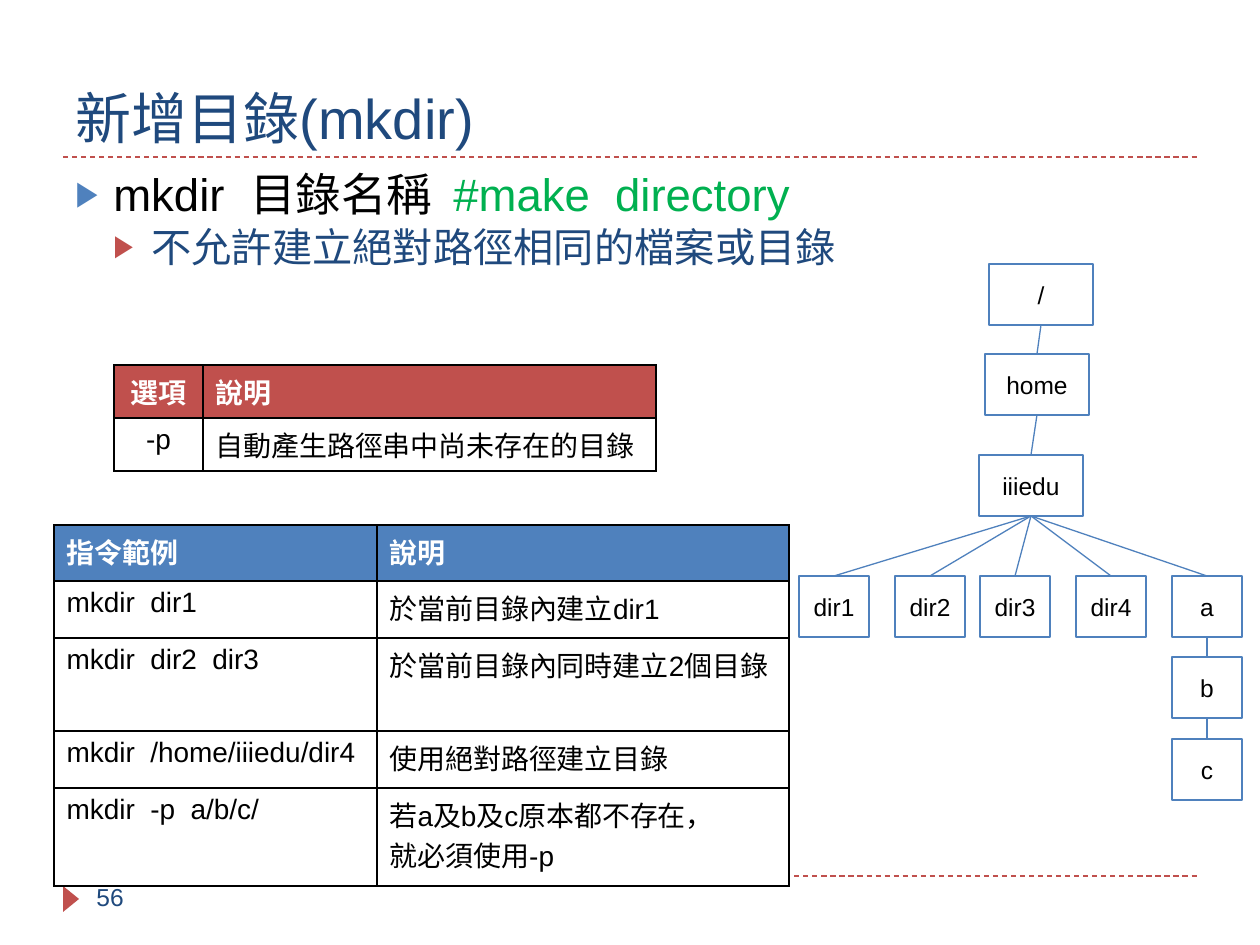
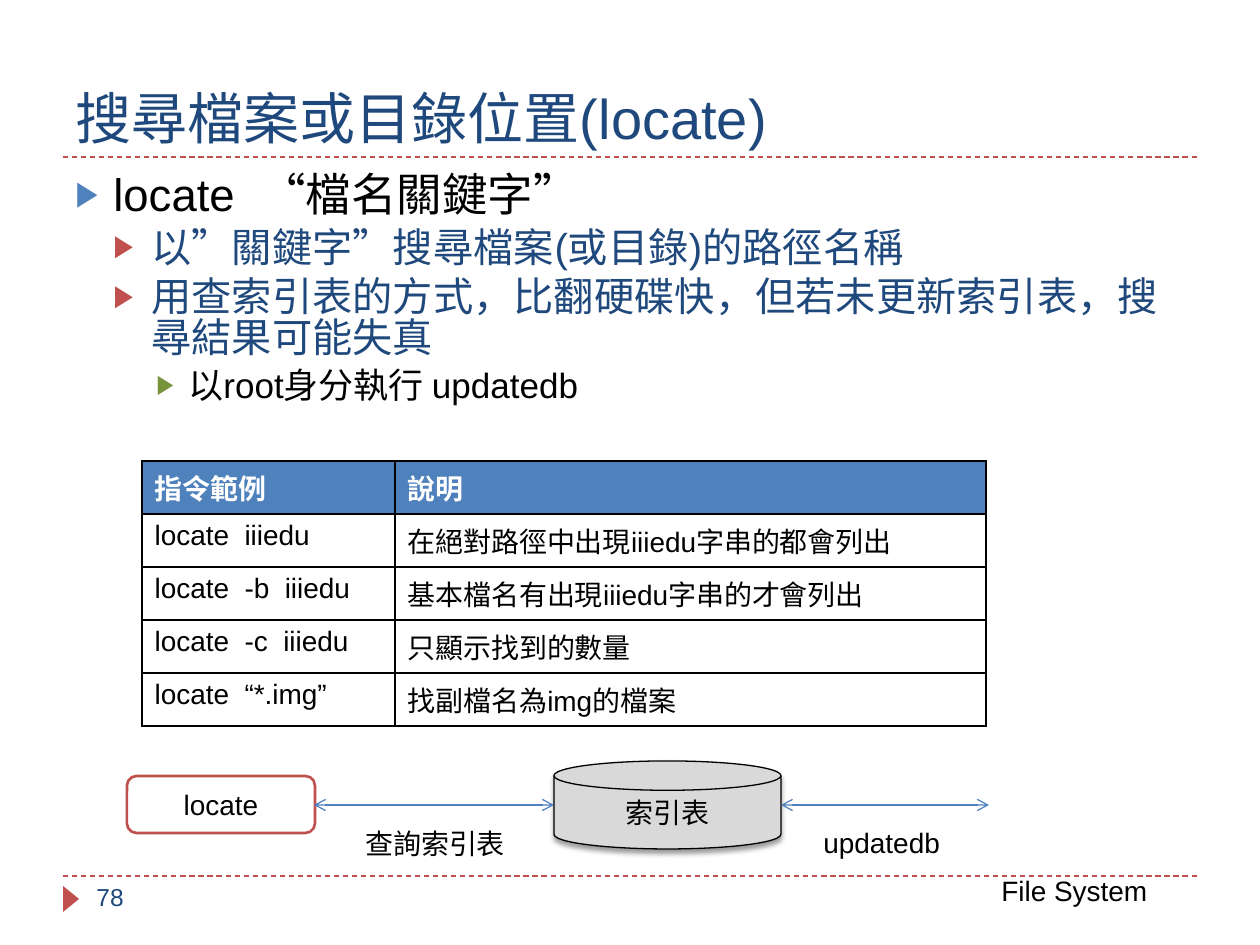
import pptx
import pptx.dml.color
import pptx.enum.dml
import pptx.enum.shapes
import pptx.enum.text
import pptx.oxml
import pptx.oxml.ns
import pptx.util
from lxml import etree

PX = 914400 / 126
FONT = "Arial"
BLACK, WHITE, GREY = "000000", "FFFFFF", "D9D9D9"
NAVY, BLUE, RED = "1F497D", "4F81BD", "C0504D"
GREEN, OLIVE = "00B050", "77933C"
SHAPES = pptx.enum.shapes.MSO_SHAPE
CENTER = pptx.enum.text.PP_ALIGN.CENTER
LEFT = pptx.enum.text.PP_ALIGN.LEFT
BOTTOM = pptx.enum.text.MSO_ANCHOR.BOTTOM
MIDDLE = pptx.enum.text.MSO_ANCHOR.MIDDLE
TOP = pptx.enum.text.MSO_ANCHOR.TOP
LEVELS = [
    dict(size=26, color=BLACK, bullet=BLUE, margin=38, hanging=38, before=6),
    dict(size=23, color=NAVY, bullet=RED, margin=76, hanging=38, before=5),
    dict(size=20, color=BLACK, bullet=OLIVE, margin=113, hanging=32, before=5),
]


def emu(*lengths):
    """Turn px lengths into EMU."""
    return [pptx.util.Emu(round(length * PX)) for length in lengths]


def rgb(color):
    """Turn a hex string into a colour."""
    return pptx.dml.color.RGBColor.from_string(color)


def add_xml(parent, tag, inner="", **attributes):
    """Append one drawing element to a parent."""
    element = etree.SubElement(parent, pptx.oxml.ns.qn(f"a:{tag}"), **attributes)
    if inner:
        add_xml(element, "srgbClr", val=inner)
    return element


def style_runs(para, size, color, bold=False):
    """Format every run of a paragraph."""
    for span in para.runs:
        span.font.name = FONT
        span.font.size = pptx.util.Pt(size)
        span.font.bold = bold
        span.font.color.rgb = rgb(color)


def fill_text(frame, text, size, color, align=LEFT, anchor=TOP, bold=False):
    """Put styled text into a text frame."""
    frame.text = text
    frame.vertical_anchor = anchor
    for para in frame.paragraphs:
        para.alignment = align
        style_runs(para, size, color, bold)


def add_label(page, place, text, size=16, color=BLACK, anchor=TOP, wrap=True):
    """Add a text box."""
    box = page.shapes.add_textbox(*emu(*place))
    fill_text(box.text_frame, text, size, color, anchor=anchor)
    box.text_frame.word_wrap = wrap


def add_box(page, kind, place, text, line, size, fill=WHITE, weight=1.5):
    """Add an outlined shape with centred text."""
    box = page.shapes.add_shape(kind, *emu(*place))
    box.shadow.inherit = False
    box.fill.solid()
    box.fill.fore_color.rgb = rgb(fill)
    box.line.color.rgb = rgb(line)
    box.line.width = pptx.util.Pt(weight)
    fill_text(box.text_frame, text, size, BLACK, CENTER, MIDDLE)
    return box


def add_line(page, start=(0, 0), end=(0, 0), color=BLUE, dashed=False, arrows=False):
    """Add a thin straight connector."""
    line = page.shapes.add_connector(
        pptx.enum.shapes.MSO_CONNECTOR.STRAIGHT, *emu(*start, *end))
    line.line.color.rgb = rgb(color)
    line.line.width = pptx.util.Pt(0.75)
    if dashed:
        line.line.dash_style = pptx.enum.dml.MSO_LINE.DASH
    if arrows:
        for tag in ("headEnd", "tailEnd"):
            add_xml(line.line._get_or_add_ln(), tag, type="arrow")
    add_xml(line._element.spPr, "effectLst")
    return line


def add_page(deck, title, number):
    """Add a page with the shared rules, title and page number."""
    page = deck.slides.add_slide(deck.slide_layouts[6])
    for height in (876, 157):
        add_line(page, (63, height), (1197, height), RED, dashed=True)
    marker = page.shapes.add_shape(
        SHAPES.ISOSCELES_TRIANGLE, *emu(58, 891, 26, 16))
    marker.rotation = 90
    marker.shadow.inherit = False
    marker.fill.solid()
    marker.fill.fore_color.rgb = rgb(RED)
    marker.line.fill.background()
    add_label(page, (63, 21, 1134, 136), title, 32, NAVY, BOTTOM)
    add_label(page, (84, 876, 273, 50), number, 14, NAVY)
    return page


def add_outline(page, items):
    """Add the bulleted body from (level, text) pairs and return its paragraphs."""
    frame = page.shapes.add_textbox(*emu(63, 168, 1134, 680)).text_frame
    frame.word_wrap = True
    frame.text = "\n".join(text for _, text in items)
    for index, (para, (depth, _)) in enumerate(zip(frame.paragraphs, items)):
        level = LEVELS[depth]
        para.level = depth
        para.line_spacing = 0.85
        if index:
            para.space_before = pptx.util.Pt(level["before"])
        properties = para._p.get_or_add_pPr()
        margin, hanging = emu(level["margin"], level["hanging"])
        properties.set("marL", str(margin))
        properties.set("indent", str(-hanging))
        add_xml(properties, "buClr", level["bullet"])
        add_xml(properties, "buSzPct", val="76000")
        add_xml(properties, "buFont", typeface=FONT)
        add_xml(properties, "buChar", char="▶")
        style_runs(para, level["size"], level["color"])
    return frame.paragraphs


def set_borders(cell):
    """Draw a black border on all sides of a cell."""
    properties = cell._tc.get_or_add_tcPr()
    for position, side in enumerate(("lnL", "lnR", "lnT", "lnB")):
        border = pptx.oxml.parse_xml(
            f'<a:{side} {pptx.oxml.ns.nsdecls("a")} w="12700"><a:solidFill>'
            f'<a:srgbClr val="{BLACK}"/></a:solidFill></a:{side}>')
        properties.insert(position, border)


def add_grid(page, corner, widths, heights, rows, header, centred=()):
    """Add a bordered table with a coloured header row."""
    place = emu(*corner, sum(widths), sum(heights))
    table = page.shapes.add_table(len(rows), len(widths), *place).table
    for column, width in zip(table.columns, emu(*widths)):
        column.width = width
    for row, height in zip(table.rows, emu(*heights)):
        row.height = height
    for r, texts in enumerate(rows):
        for c, text in enumerate(texts):
            cell = table.cell(r, c)
            cell.fill.solid()
            cell.fill.fore_color.rgb = rgb(WHITE if r else header)
            fill_text(cell.text_frame, text, 16, BLACK if r else WHITE,
                      CENTER if c in centred else LEFT, bold=not r)
            set_borders(cell)


def add_tree(page, nodes, links):
    """Add directory boxes and join each parent to its child."""
    boxes = {}
    lines = [(add_line(page), parent, child) for parent, child in links]
    for name, (left, top, width) in nodes.items():
        boxes[name] = add_box(
            page, SHAPES.RECTANGLE, (left, top, width, 61), name, BLUE, 14)
    for line, parent, child in lines:
        line.begin_connect(boxes[parent], 2)
        line.end_connect(boxes[child], 0)


def add_soft_shadow(shape):
    """Give a shape a soft shadow below it."""
    effects = shape._element.spPr.find(pptx.oxml.ns.qn("a:effectLst"))
    shadow = add_xml(effects, "outerShdw", BLACK, blurRad="38100",
                     dist="25400", dir="5400000", rotWithShape="0")
    add_xml(shadow[0], "alpha", val="40000")


def build_mkdir(deck):
    """Build the page on making directories."""
    page = add_page(deck, "新增目錄(mkdir)", "56")
    command, _ = add_outline(page, [
        (0, "mkdir  目錄名稱\t"),
        (1, "不允許建立絕對路徑相同的檔案或目錄"),
    ])
    command.add_run().text = "#make  directory"
    style_runs(command, 26, BLACK)
    command.runs[-1].font.color.rgb = rgb(GREEN)
    add_grid(page, (54, 525), (323, 412), (56, 57, 93, 57, 98), [
        ("指令範例", "說明"),
        ("mkdir  dir1", "於當前目錄內建立dir1"),
        ("mkdir  dir2  dir3", "於當前目錄內同時建立2個目錄"),
        ("mkdir  /home/iiiedu/dir4", "使用絕對路徑建立目錄"),
        ("mkdir  -p  a/b/c/", "若a及b及c原本都不存在，\n就必須使用-p"),
    ], BLUE)
    add_grid(page, (114, 365), (89, 453), (53, 53), [
        ("選項", "說明"),
        ("-p", "自動產生路徑串中尚未存在的目錄"),
    ], RED, centred=(0,))
    nodes = {"/": (989, 264, 104), "home": (985, 354, 104),
             "iiiedu": (979, 455, 104)}
    children = {"dir1": 799, "dir2": 895, "dir3": 980, "dir4": 1076, "a": 1172}
    nodes |= {name: (left, 576, 70) for name, left in children.items()}
    nodes |= {"b": (1172, 657, 70), "c": (1172, 739, 70)}
    links = [("/", "home"), ("home", "iiiedu"), ("a", "b"), ("b", "c")]
    add_tree(page, nodes, links + [("iiiedu", name) for name in children])


def build_locate(deck):
    """Build the page on finding files."""
    page = add_page(deck, "搜尋檔案或目錄位置(locate)", "78")
    add_outline(page, [
        (0, "locate  “檔名關鍵字”"),
        (1, "以”關鍵字”搜尋檔案(或目錄)的路徑名稱"),
        (1, "用查索引表的方式，比翻硬碟快，但若未更新索引表，搜尋結果可能失真"),
        (2, "以root身分執行 updatedb"),
    ])
    add_grid(page, (142, 461), (253, 591), [53] * 5, [
        ("指令範例", "說明"),
        ("locate  iiiedu", "在絕對路徑中出現iiiedu字串的都會列出"),
        ("locate  -b  iiiedu", "基本檔名有出現iiiedu字串的才會列出"),
        ("locate  -c  iiiedu", "只顯示找到的數量"),
        ("locate  “*.img”", "找副檔名為img的檔案"),
    ], BLUE)
    add_box(page, SHAPES.ROUNDED_RECTANGLE, (127, 776, 188, 57), "locate", RED, 16)
    index = add_box(page, SHAPES.FLOWCHART_MAGNETIC_DISK, (554, 761, 227, 88),
                    "索引表", BLACK, 16, GREY, 0.75)
    add_soft_shadow(index)
    for left, right in ((314, 554), (781, 989)):
        add_line(page, (left, 805), (right, 805), arrows=True)
    add_label(page, (989, 867, 176, 66), "File System")
    add_label(page, (353, 820, 183, 38), "查詢索引表")
    add_label(page, (811, 819, 151, 38), "updatedb", wrap=False)


def main():
    """Build and save the deck."""
    deck = pptx.Presentation()
    deck.slide_width, deck.slide_height = emu(1260, 945)
    build_mkdir(deck)
    build_locate(deck)
    deck.save("out.pptx")


if __name__ == "__main__":
    main()
